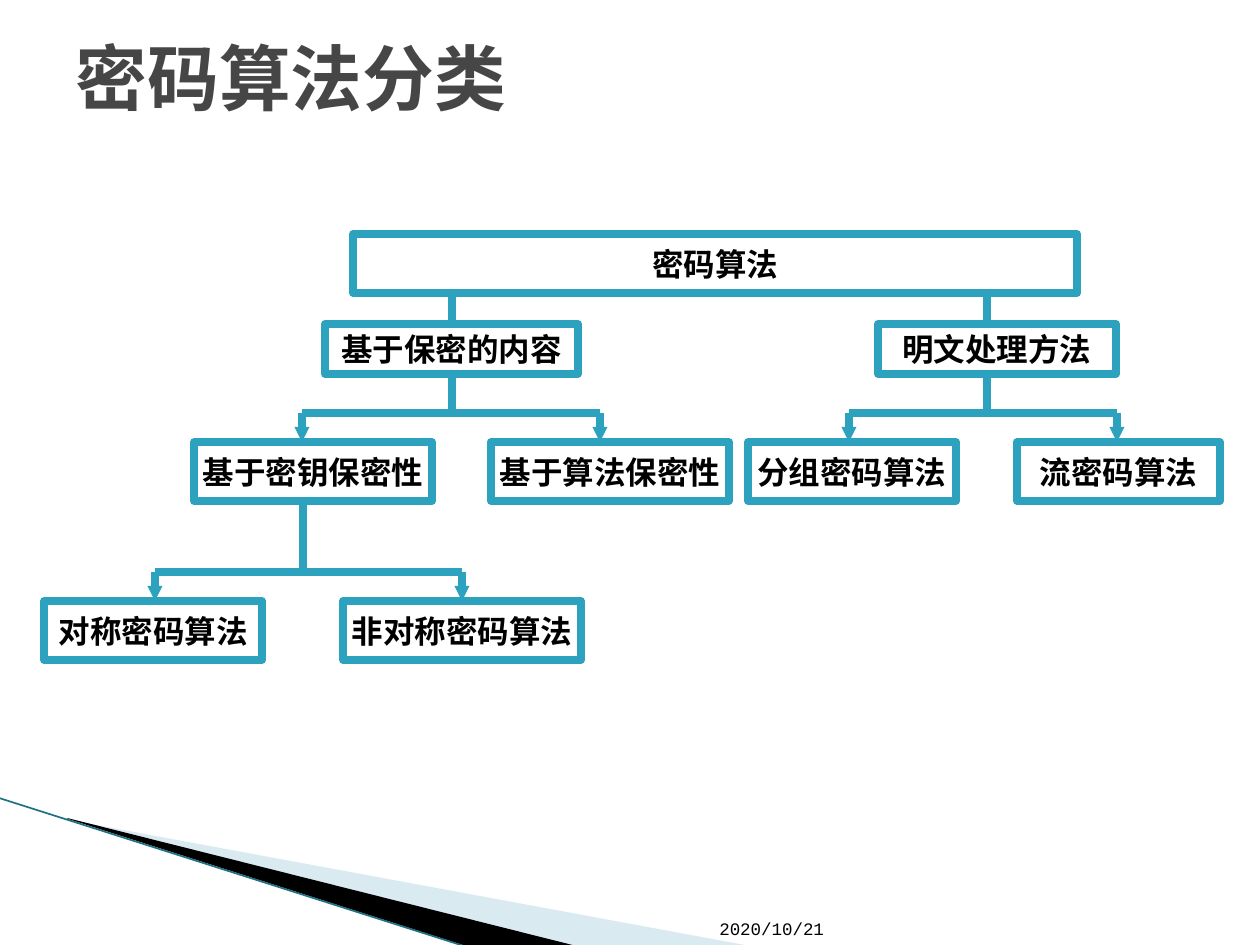
from lxml.etree import SubElement
from pptx import Presentation
from pptx.dml.color import RGBColor
from pptx.enum.shapes import MSO_CONNECTOR, MSO_SHAPE
from pptx.enum.text import MSO_ANCHOR, PP_ALIGN
from pptx.oxml.ns import qn
from pptx.util import Emu, Pt

FONT = "Courier New"
TEAL = "2DA2BF"
BOX_LINE = 4.33
DROP = 29

# text, left, top, width, height
BOXES = [
    ("密码算法", 353, 234, 724, 59),
    ("基于保密的内容", 325, 324, 253, 50),
    ("明文处理方法", 878, 324, 238, 50),
    ("基于密钥保密性", 194, 442, 238, 59),
    ("基于算法保密性", 491, 442, 238, 59),
    ("分组密码算法", 748, 442, 208, 59),
    ("流密码算法", 1017, 442, 203, 59),
    ("对称密码算法", 44, 601, 218, 59),
    ("非对称密码算法", 343, 601, 238, 59),
]

# stem x, stem top, bar y, left child x, right child x
BRANCHES = [
    (452, 294, 413, 302, 600),
    (987, 294, 413, 849, 1117),
    (303, 503, 572, 155, 462),
]


def px(length):
    return Emu(round(length * 914400 / 126))


def rgb(colour):
    return RGBColor.from_string(colour)


def place(shape, left, top, width, height):
    shape.left, shape.top = px(left), px(top)
    shape.width, shape.height = px(width), px(height)


def write_text(shape, text, size, colour, bold, align, anchor, wrap=True):
    frame = shape.text_frame
    frame.text = text
    frame.word_wrap = wrap
    frame.vertical_anchor = anchor
    paragraph = frame.paragraphs[0]
    paragraph.alignment = align
    font = paragraph.runs[0].font
    font.name, font.size, font.bold = FONT, Pt(size), bold
    font.color.rgb = rgb(colour)


def add_box(slide, text, *bounds):
    box = slide.shapes.add_shape(MSO_SHAPE.RECTANGLE, *map(px, bounds))
    box.shadow.inherit = False
    box.fill.solid()
    box.fill.fore_color.rgb = rgb("FFFFFF")
    box.line.color.rgb = rgb(TEAL)
    box.line.width = Pt(BOX_LINE)
    SubElement(box.line._get_or_add_ln(), qn("a:round"))
    write_text(box, text, 18, "000000", True, PP_ALIGN.CENTER,
               MSO_ANCHOR.MIDDLE, wrap=False)


def add_line(slide, start, end, colour=TEAL, width=BOX_LINE, arrow=False):
    line = slide.shapes.add_connector(
        MSO_CONNECTOR.STRAIGHT, *map(px, (*start, *end)))
    line.line.color.rgb = rgb(colour)
    line.line.width = Pt(width)
    if arrow:
        SubElement(line.line._get_or_add_ln(), qn("a:tailEnd"),
                   type="triangle", w="sm", len="sm")
    SubElement(line._element.spPr, qn("a:effectLst"))


def add_branch(slide, stem, top, bar, left, right):
    """Draw a stem, a crossbar and an arrow down to each child."""
    add_line(slide, (stem, top), (stem, bar))
    add_line(slide, (left, bar), (right, bar))
    for child in (left, right):
        add_line(slide, (child, bar), (child, bar + DROP), arrow=True)


def add_wedge(slide, points, colour, opacity=100):
    corners = [(px(x), px(y)) for x, y in points]
    builder = slide.shapes.build_freeform(*corners[0])
    builder.add_line_segments(corners[1:], close=True)
    wedge = builder.convert_to_shape()
    wedge.shadow.inherit = False
    wedge.line.fill.background()
    wedge.fill.solid()
    wedge.fill.fore_color.rgb = rgb(colour)
    if opacity < 100:
        colour_element = wedge._element.spPr.find(".//" + qn("a:srgbClr"))
        SubElement(colour_element, qn("a:alpha"), val=str(opacity * 1000))


def add_date(slide):
    date = slide.shapes.add_textbox(px(707), px(883), px(141), px(62))
    write_text(date, "2020/10/21", 10, "000000", False,
               PP_ALIGN.LEFT, MSO_ANCHOR.BOTTOM)


def main():
    presentation = Presentation()
    presentation.slide_width, presentation.slide_height = px(1260), px(945)
    slide = presentation.slides.add_slide(presentation.slide_layouts[5])

    add_wedge(slide, [(69, 820), (750, 946), (575, 946), (69, 819)],
              "A0CBDC", opacity=40)
    add_wedge(slide, [(67, 818), (576, 946), (469, 947), (68, 819)], "000000")
    add_line(slide, (-1, 798), (467, 947), "1F6F85", 0.95)

    title = slide.shapes.title
    place(title, 63, 0, 1134, 154)
    write_text(title, "密码算法分类", 41, "464646", True,
               PP_ALIGN.LEFT, MSO_ANCHOR.MIDDLE)
    add_date(slide)

    for branch in BRANCHES:
        add_branch(slide, *branch)
    for box in BOXES:
        add_box(slide, *box)

    presentation.save("out.pptx")


if __name__ == "__main__":
    main()
